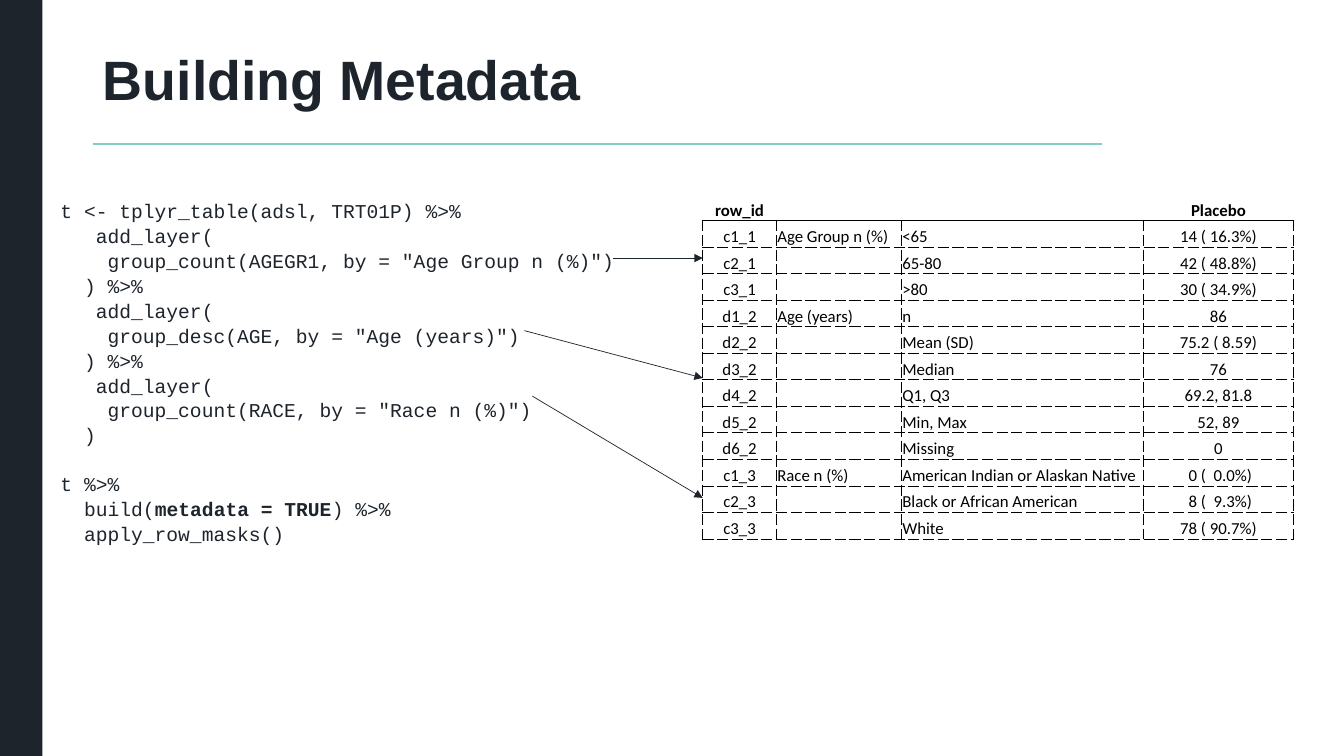
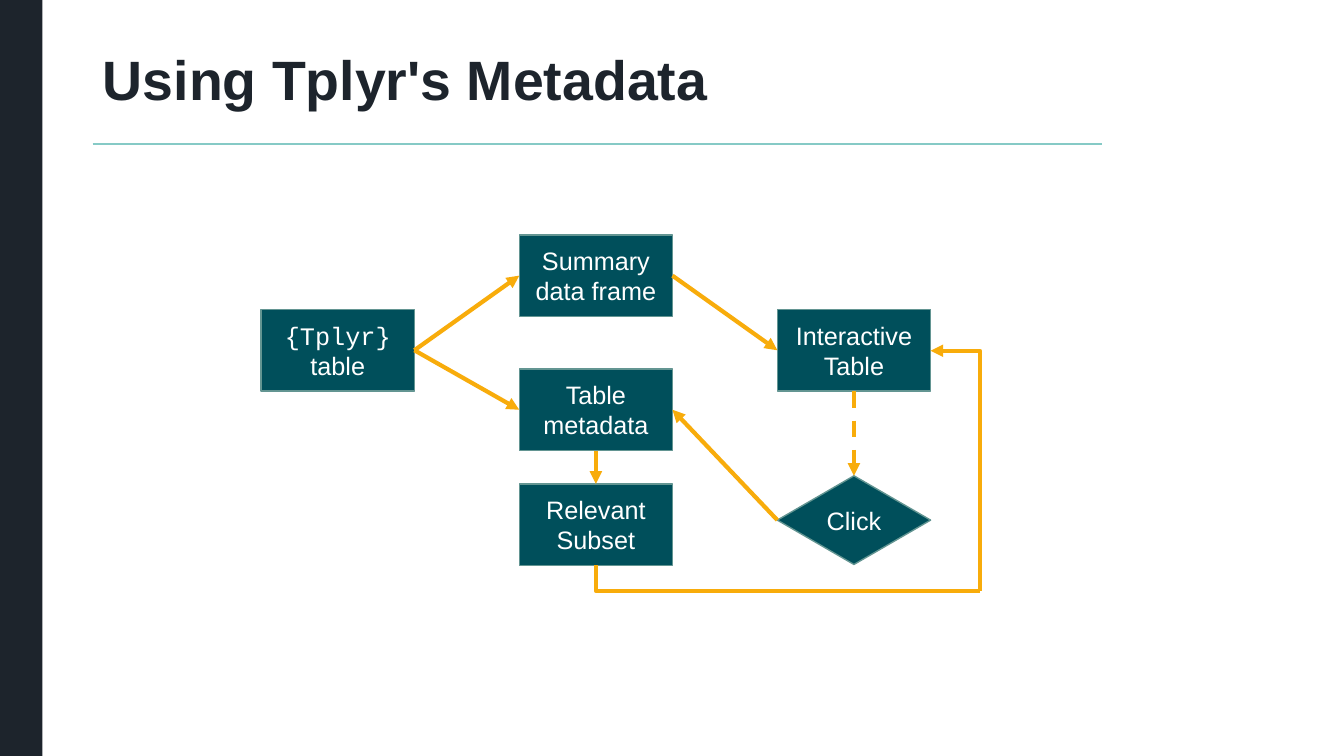
from dataclasses import dataclass

from lxml.etree import SubElement
from pptx import Presentation
from pptx.dml.color import RGBColor
from pptx.enum.dml import MSO_LINE
from pptx.enum.shapes import MSO_CONNECTOR as Link, MSO_SHAPE as Preset
from pptx.enum.text import MSO_ANCHOR as Anchor, MSO_AUTO_SIZE as AutoSize, PP_ALIGN as Align
from pptx.oxml.ns import qn
from pptx.util import Inches, Pt


@dataclass(frozen=True)
class Theme:
    ink: str = "1D242C"
    rule: str = "86CAC6"
    box: str = "004F5B"
    box_edge: str = "639592"
    flow: str = "F8AC0B"
    black: str = "000000"
    white: str = "FFFFFF"
    sans: str = "Arial"
    code: str = "Courier New"
    table: str = "Calibri"
    title_size: float = 39.6
    box_size: float = 18
    code_size: float = 14
    table_size: float = 12


THEME = Theme()
WIDTH, HEIGHT = 13.33, 7.5
LEFT, CONTENT_WIDTH = 0.92, 10.01
CONTENT_TOP, HALF_WIDTH = 1.91, 5.86
TABLE_LEFT = 6.97
TOP, LEFT_SIDE, BOTTOM, RIGHT_SIDE = range(4)

CODE = [
    "t <- tplyr_table(adsl, TRT01P) %>%",
    "   add_layer(",
    '    group_count(AGEGR1, by = "Age Group n (%)")',
    "  ) %>%",
    "   add_layer(",
    '    group_desc(AGE, by = "Age (years)")',
    "  ) %>%",
    "   add_layer(",
    '    group_count(RACE, by = "Race n (%)")',
    "  )",
    "t %>%",
    "  build(*metadata = TRUE*) %>%",
    "  apply_row_masks()",
]
SECOND_STATEMENT = CODE.index("t %>%")

SUMMARY = [
    ("row_id", "", "", "Placebo"),
    ("c1_1", "Age Group n (%)", "<65", "14 ( 16.3%)"),
    ("c2_1", "", "65-80", "42 ( 48.8%)"),
    ("c3_1", "", ">80", "30 ( 34.9%)"),
    ("d1_2", "Age (years)", "n", "86"),
    ("d2_2", "", "Mean (SD)", "75.2 ( 8.59)"),
    ("d3_2", "", "Median", "76"),
    ("d4_2", "", "Q1, Q3", "69.2, 81.8"),
    ("d5_2", "", "Min, Max", "52, 89"),
    ("d6_2", "", "Missing", "0"),
    ("c1_3", "Race n (%)", "American Indian or Alaskan Native", " 0 (  0.0%)"),
    ("c2_3", "", "Black or African American", " 8 (  9.3%)"),
    ("c3_3", "", "White", "78 ( 90.7%)"),
]
COLUMN_WIDTHS = [0.73, 1.24, 2.4, 1.49]
CENTRED_COLUMNS = (0, 3)
HEADER_HEIGHT, TABLE_HEIGHT = 0.28, 3.44


def color(value):
    return RGBColor.from_string(value)


def place(shape, left, top, width, height):
    shape.left, shape.top = Inches(left), Inches(top)
    shape.width, shape.height = Inches(width), Inches(height)


def add_run(paragraph, text, font, size, ink, bold=False):
    run = paragraph.add_run()
    run.text = text
    run.font.name, run.font.size, run.font.bold = font, Pt(size), bold
    run.font.color.rgb = color(ink)


def add_box(slide, preset, left, top, width, height, fill, edge=None):
    shape = slide.shapes.add_shape(preset, *map(Inches, (left, top, width, height)))
    shape.shadow.inherit = False
    shape.fill.solid()
    shape.fill.fore_color.rgb = color(fill)
    if edge:
        shape.line.color.rgb = color(edge)
        shape.line.width = Pt(1)
    else:
        shape.line.fill.background()
    return shape


def add_line(slide, start, end, ink, weight, arrow=None, dashed=False, kind=Link.STRAIGHT):
    """Draw a connector; arrow is None, "headEnd" (at start) or "tailEnd" (at end)."""
    line = slide.shapes.add_connector(kind, *map(Inches, (*start, *end)))
    line.line.color.rgb = color(ink)
    line.line.width = Pt(weight)
    if dashed:
        line.line.dash_style = MSO_LINE.DASH
    properties = line.element.spPr
    if arrow:
        SubElement(properties.find(qn("a:ln")), qn(f"a:{arrow}"), type="triangle")
    SubElement(properties, qn("a:effectLst"))
    return line


def add_corner(slide, start, end, arrow=None):
    """Draw one bend: sideways from start, then up or down to end."""
    corner = add_line(slide, start, end, THEME.flow, 3, arrow, kind=Link.ELBOW)
    corner.element.spPr.find(qn("a:prstGeom")).set("prst", "bentConnector2")


def add_frame(presentation, slide):
    """Put the side band and title rule on the master shared by all slides."""
    band = add_box(slide, Preset.RECTANGLE, 0, 0, 0.42, HEIGHT, THEME.ink)
    rule = add_line(slide, (LEFT, 1.43), (LEFT + CONTENT_WIDTH, 1.43), THEME.rule, 1)
    for number, shape in enumerate((band, rule)):
        shape.element.xpath(".//p:cNvPr")[0].set("id", str(100 + number))
        presentation.slide_master.shapes.element.insert(2 + number, shape.element)


def add_titled_slide(presentation, layout_name, text):
    slide = presentation.slides.add_slide(presentation.slide_layouts.get_by_name(layout_name))
    title = slide.shapes.title
    place(title, LEFT, 0.53, CONTENT_WIDTH, 0.58)
    frame = title.text_frame
    frame.auto_size, frame.vertical_anchor = AutoSize.NONE, Anchor.MIDDLE
    paragraph = frame.paragraphs[0]
    paragraph.alignment, paragraph.line_spacing = Align.LEFT, 0.9
    add_run(paragraph, text, THEME.sans, THEME.title_size, THEME.ink, bold=True)
    return slide


def add_code(slide):
    """Fill the body placeholder with code; asterisks enclose bold parts."""
    body = slide.placeholders[1]
    place(body, 0.5, CONTENT_TOP, HALF_WIDTH, 4.91)
    frame = body.text_frame
    frame.auto_size = AutoSize.NONE
    for index, line in enumerate(CODE):
        paragraph = frame.paragraphs[0] if index == 0 else frame.add_paragraph()
        properties = paragraph._p.get_or_add_pPr()
        properties.set("marL", "0")
        properties.set("indent", "0")
        SubElement(properties, qn("a:buNone"))
        paragraph.line_spacing = 1.06
        paragraph.space_before = Pt(17 if index == SECOND_STATEMENT else 0)
        for part, text in enumerate(line.split("*")):
            add_run(paragraph, text, THEME.code, THEME.code_size, THEME.ink, bold=part % 2 == 1)


def set_border(cell, side, weight, dash):
    line = SubElement(cell._tc.get_or_add_tcPr(), qn(f"a:ln{side}"), w=str(Pt(weight)))
    fill = SubElement(line, qn("a:solidFill"))
    SubElement(fill, qn("a:srgbClr"), val=THEME.black)
    SubElement(line, qn("a:prstDash"), val=dash)


def fill_cell(cell, text, header, centred):
    cell.margin_left = cell.margin_right = cell.margin_top = Inches(0.01)
    cell.margin_bottom = 0
    cell.vertical_anchor = Anchor.BOTTOM
    paragraph = cell.text_frame.paragraphs[0]
    paragraph.alignment = Align.CENTER if centred else Align.LEFT
    if text:
        add_run(paragraph, text, THEME.table, THEME.table_size, THEME.black, bold=header)
    else:
        SubElement(paragraph._p, qn("a:endParaRPr"), sz=str(THEME.table_size * 100))


def add_summary_table(slide):
    rows, columns = len(SUMMARY), len(COLUMN_WIDTHS)
    bounds = map(Inches, (TABLE_LEFT, CONTENT_TOP, HALF_WIDTH, TABLE_HEIGHT))
    table = slide.shapes.add_table(rows, columns, *bounds).table
    table.first_row = table.horz_banding = False
    for column, width in zip(table.columns, COLUMN_WIDTHS):
        column.width = Inches(width)
    for r, values in enumerate(SUMMARY):
        header = r == 0
        row_height = HEADER_HEIGHT if header else (TABLE_HEIGHT - HEADER_HEIGHT) / (rows - 1)
        table.rows[r].height = Inches(row_height)
        for c, text in enumerate(values):
            cell = table.cell(r, c)
            fill_cell(cell, text, header, c in CENTRED_COLUMNS)
            for side in "B" if header else "LRTB":
                solid = header or (r == 1 and side == "T")
                set_border(cell, side, *((1, "solid") if solid else (0.5, "dash")))
            cell.fill.background()


def build_metadata_slide(slide):
    add_code(slide)
    add_summary_table(slide)
    for start, end_y in (((6.08, 2.56), 2.56), ((5.2, 3.28), 3.75), ((5.28, 3.93), 4.94)):
        add_line(slide, start, (TABLE_LEFT, end_y), THEME.ink, 0.5, "tailEnd")


def add_step(slide, column, top, *runs, preset=Preset.RECTANGLE, height=0.81):
    """Add a flow step in a grid column; runs are (text, font) pairs."""
    shape = add_box(slide, preset, 2.59 + 2.56 * column, top, 1.52, height,
                    THEME.box, THEME.box_edge)
    frame = shape.text_frame
    frame.word_wrap, frame.vertical_anchor = True, Anchor.MIDDLE
    paragraph = frame.paragraphs[0]
    paragraph.alignment = Align.CENTER
    for text, font in runs:
        add_run(paragraph, text, font, THEME.box_size, THEME.white)
    return shape


def join(slide, source, source_side, target, target_side, dashed=False):
    arrow = add_line(slide, (0, 0), (0, 0), THEME.flow, 3, "tailEnd", dashed)
    arrow.begin_connect(source, source_side)
    arrow.end_connect(target, target_side)


def build_flow_slide(slide):
    sans = THEME.sans
    source = add_step(slide, 0, 3.07, ("{Tplyr} ", THEME.code), ("table", sans))
    summary = add_step(slide, 1, 2.33, ("Summary data frame", sans))
    metadata = add_step(slide, 1, 3.66, ("Table metadata", sans))
    interactive = add_step(slide, 2, 3.07, ("Interactive Table", sans))
    subset = add_step(slide, 1, 4.8, ("Relevant Subset", sans))
    click = add_step(slide, 2, 4.72, ("Click", sans),
                     preset=Preset.FLOWCHART_DECISION, height=0.88)

    join(slide, source, RIGHT_SIDE, summary, LEFT_SIDE)
    join(slide, source, RIGHT_SIDE, metadata, LEFT_SIDE)
    join(slide, summary, RIGHT_SIDE, interactive, LEFT_SIDE)
    join(slide, interactive, BOTTOM, click, TOP, dashed=True)
    join(slide, click, LEFT_SIDE, metadata, RIGHT_SIDE)
    join(slide, metadata, BOTTOM, subset, TOP)

    turn = (9.72, 5.86)
    subset_bottom = (5.91, 5.61)
    interactive_right = (9.23, 3.48)
    add_corner(slide, turn, subset_bottom)
    add_corner(slide, interactive_right, turn, "headEnd")


def main():
    presentation = Presentation()
    presentation.slide_width, presentation.slide_height = Inches(WIDTH), Inches(HEIGHT)
    metadata_slide = add_titled_slide(presentation, "Title and Content", "Building Metadata")
    add_frame(presentation, metadata_slide)
    build_metadata_slide(metadata_slide)
    build_flow_slide(add_titled_slide(presentation, "Title Only", "Using Tplyr's Metadata"))
    presentation.save("out.pptx")


if __name__ == "__main__":
    main()
